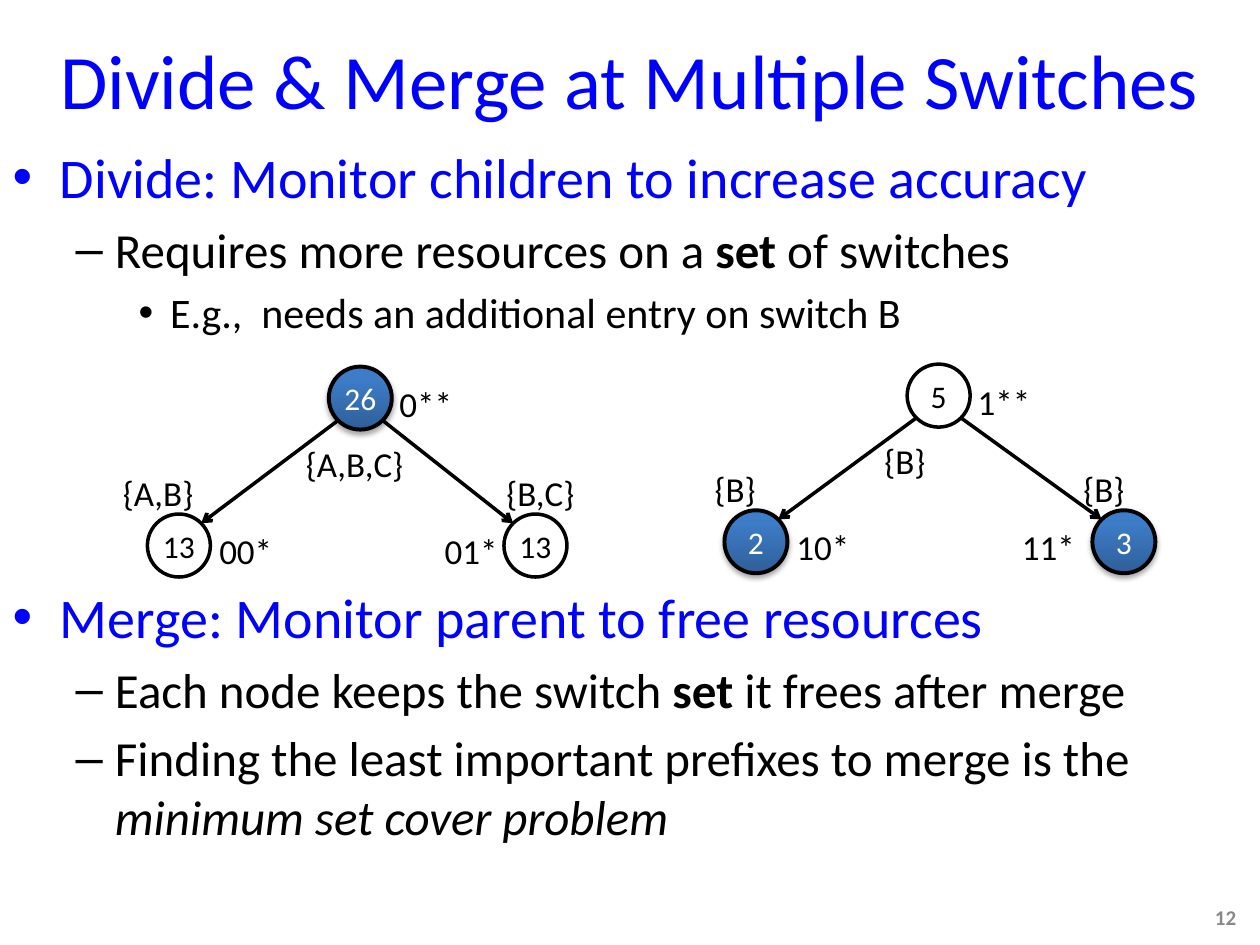
from dataclasses import dataclass
from math import sqrt

from lxml import etree
from pptx import Presentation
from pptx.dml.color import RGBColor
from pptx.enum.shapes import MSO_CONNECTOR, MSO_SHAPE
from pptx.enum.text import MSO_ANCHOR, MSO_AUTO_SIZE, PP_ALIGN
from pptx.oxml.ns import qn
from pptx.util import Inches, Pt

OVAL, STRAIGHT = MSO_SHAPE.OVAL, MSO_CONNECTOR.STRAIGHT
LEFT, CENTER, RIGHT = PP_ALIGN.LEFT, PP_ALIGN.CENTER, PP_ALIGN.RIGHT
MIDDLE, TOP = MSO_ANCHOR.MIDDLE, MSO_ANCHOR.TOP
NO_FIT = MSO_AUTO_SIZE.NONE

FONT = "Calibri"
COLORS = {"blue": "0000FF", "black": "000000", "white": "FFFFFF",
          "gray": "898989", "node_dark": "2F5F99", "node_light": "3D7CC7"}
NODE = 0.5                       # node diameter
DIAGONAL = NODE / 2 / sqrt(2)    # from node centre to its 45° point
LABEL_H = 0.44


@dataclass
class Node:
    count: str
    prefix: str
    switches: str
    x: float
    y: float
    monitored: bool = False


@dataclass
class Tree:
    root: Node
    left: Node
    right: Node


@dataclass
class Bullet:
    level: int
    runs: list            # (text, font format) pairs
    color: str = "black"
    gap: float = 0        # space before in points, 0 keeps the template's


TREES = [
    Tree(Node("26", "0**", "{A,B,C}", 2.61, 2.91, True),
         Node("13", "00*", "{A,B}", 1.17, 4.08),
         Node("13", "01*", "{B,C}", 4, 4.08)),
    Tree(Node("5", "1**", "{B}", 7.2, 2.89),
         Node("2", "10*", "{B}", 5.75, 4.05, True),
         Node("3", "11*", "{B}", 8.67, 4.05, True)),
]
BULLETS = [
    Bullet(0, [("Divide: Monitor children to increase accuracy", {})], "blue"),
    Bullet(1, [("Requires more resources on a ", {}), ("set", {"bold": True}),
               (" of switches", {})]),
    Bullet(2, [("E.g.,  needs an additional entry on switch B", {})]),
    Bullet(0, [("Merge: Monitor parent to free resources", {})], "blue", 140),
    Bullet(1, [("Each node keeps the switch ", {}), ("set ", {"bold": True}),
               ("it frees after merge", {})]),
    Bullet(1, [("Finding the least important prefixes to merge is the ", {}),
               ("minimum set cover problem", {"italic": True})]),
]
LEVEL_SIZES = [32, 28, 24]


def rgb(name: str) -> RGBColor:
    return RGBColor.from_string(COLORS[name])


def add_run(p, text: str, size: float, color: str, **formats) -> None:
    r = p.add_run()
    r.text = text
    r.font.color.rgb = rgb(color)
    for key, value in {"name": FONT, "size": Pt(size), **formats}.items():
        setattr(r.font, key, value)


def place(sp, x: float, y: float, w: float, h: float) -> None:
    for key, value in zip(("left", "top", "width", "height"), (x, y, w, h)):
        setattr(sp, key, Inches(value))


def add_label(shapes, text: str, x: float, y: float, w: float, h: float = LABEL_H,
              align=LEFT, inset: float = 0.1, size: float = 20,
              color: str = "black", anchor=TOP, **formats) -> None:
    tf = shapes.add_textbox(Inches(x), Inches(y), Inches(w), Inches(h)).text_frame
    settings = {"word_wrap": True, "vertical_anchor": anchor,
                "margin_left": Inches(inset), "margin_right": Inches(inset)}
    for key, value in settings.items():
        setattr(tf, key, value)
    tf.paragraphs[0].alignment = align
    add_run(tf.paragraphs[0], text, size, color, **formats)


def add_shadow(sp) -> None:
    effects = sp._element.spPr.find(qn("a:effectLst"))
    shadow = etree.SubElement(effects, qn("a:outerShdw"), blurRad=str(Pt(3.1)),
                              dist=str(Pt(1.8)), dir="5400000", rotWithShape="0")
    color = etree.SubElement(shadow, qn("a:srgbClr"), val=COLORS["black"])
    etree.SubElement(color, qn("a:alpha"), val="35000")


def add_node(shapes, node: Node) -> None:
    sp = shapes.add_shape(OVAL, Inches(node.x), Inches(node.y),
                          Inches(NODE), Inches(NODE))
    sp.shadow.inherit = False
    sp.line.color.rgb = rgb("black")
    sp.line.width = Pt(2.25 if node.monitored else 2)
    if node.monitored:
        sp.fill.gradient()
        sp.fill.gradient_angle = 90
        stops = zip(sp.fill.gradient_stops, ("node_dark", "node_light"), (0, 0.8))
        for stop, color, position in stops:
            stop.color.rgb = rgb(color)
            stop.position = position
        add_shadow(sp)
    else:
        sp.fill.solid()
        sp.fill.fore_color.rgb = rgb("white")
    tf = sp.text_frame
    settings = {"margin_left": 0, "margin_right": 0, "margin_top": 0,
                "margin_bottom": 0, "vertical_anchor": MIDDLE, "word_wrap": True}
    for key, value in settings.items():
        setattr(tf, key, value)
    tf.paragraphs[0].alignment = CENTER
    add_run(tf.paragraphs[0], node.count, 18, "white" if node.monitored else "black")


def add_edge(shapes, parent: Node, child: Node) -> None:
    side = DIAGONAL if child.x > parent.x else -DIAGONAL
    mid = NODE / 2
    line = shapes.add_connector(
        STRAIGHT,
        Inches(parent.x + mid + side), Inches(parent.y + mid + DIAGONAL),
        Inches(child.x + mid - side), Inches(child.y + mid - DIAGONAL))
    line.line.color.rgb = rgb("black")
    line.line.width = Pt(2)
    etree.SubElement(line.line._get_or_add_ln(), qn("a:tailEnd"), type="arrow")
    etree.SubElement(line._element.spPr, qn("a:effectLst"))


def add_tree(shapes, tree: Tree) -> None:
    group = shapes.add_group_shape().shapes
    root, left, right = tree.root, tree.left, tree.right
    for node in (root, left, right):
        add_node(group, node)
    for child in (left, right):
        add_edge(group, root, child)
    # Prefix beside each node
    add_label(group, left.prefix, left.x + 0.57, left.y + 0.07, 0.62, inset=0)
    add_label(group, right.prefix, left.x + 2.19, left.y + 0.07, 0.59,
              align=RIGHT, inset=0)
    add_label(group, root.prefix, root.x + 0.56, root.y + 0.08, 0.58, inset=0)
    # Switch set of each node
    add_label(group, left.switches, left.x - 0.42, left.y - 0.39, 1.01, align=CENTER)
    add_label(group, right.switches, left.x + 2.75, left.y - 0.39, 0.75)
    add_label(group, root.switches, root.x - 0.28, root.y + 0.55, 1.22)


def main() -> None:
    prs = Presentation()
    prs.slide_width, prs.slide_height = Inches(10), Inches(7.5)
    s = prs.slides.add_slide(prs.slide_layouts[1])

    # Title
    title, body = s.shapes.title, s.placeholders[1]
    place(title, 0, 0, 10, 1.25)
    add_run(title.text_frame.paragraphs[0], "Divide & Merge at Multiple Switches",
            44, "blue")

    # Bullet list, with a gap for the trees
    place(body, 0, 1.08, 9.92, 6.25)
    tf = body.text_frame
    tf.auto_size = NO_FIT
    for i, bullet in enumerate(BULLETS):
        p = tf.add_paragraph() if i else tf.paragraphs[0]
        p.level = bullet.level
        if bullet.gap:
            p.space_before = Pt(bullet.gap)
        for text, formats in bullet.runs:
            add_run(p, text, LEVEL_SIZES[bullet.level], bullet.color, **formats)

    # Prefix trees
    for tree in TREES:
        add_tree(s.shapes, tree)

    # Slide number
    add_label(s.shapes, "12", 7.58, 7.08, 2.33, 0.4, align=RIGHT, size=12,
              color="gray", anchor=MIDDLE, bold=True)
    prs.save("out.pptx")


if __name__ == "__main__":
    main()
